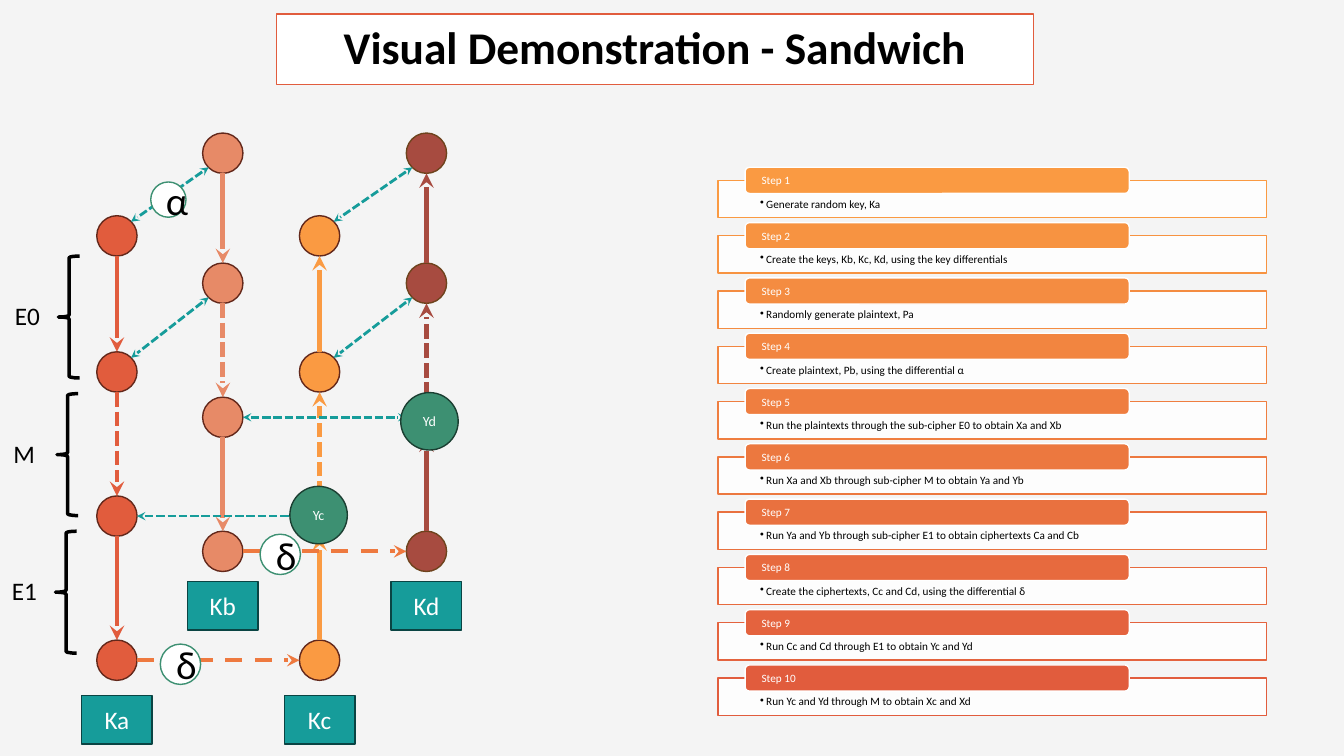
from lxml.etree import SubElement
from pptx import Presentation
from pptx.dml.color import RGBColor
from pptx.enum.dml import MSO_LINE
from pptx.enum.shapes import MSO_CONNECTOR, MSO_SHAPE
from pptx.enum.text import MSO_ANCHOR, PP_ALIGN
from pptx.oxml.ns import qn
from pptx.util import Inches, Pt

FONT = "Calibri"
PAPER = RGBColor(0xF4, 0xF4, 0xF4)
WHITE = RGBColor(0xFF, 0xFF, 0xFF)
BLACK = RGBColor(0, 0, 0)
RED = RGBColor(0xE1, 0x5C, 0x3D)
SALMON = RGBColor(0xE7, 0x8A, 0x67)
AMBER = RGBColor(0xFA, 0x9A, 0x42)
BROWN = RGBColor(0xA7, 0x4B, 0x40)
ORANGE = RGBColor(0xEE, 0x79, 0x3F)
TEAL = RGBColor(0x16, 0x9C, 0x9A)
DEEP = RGBColor(0x0A, 0x44, 0x43)
GREEN = RGBColor(0x3D, 0x90, 0x72)
FOREST = RGBColor(0x1B, 0x3F, 0x32)
RUST = RGBColor(0x63, 0x28, 0x1B)
UMBER = RGBColor(0x6E, 0x43, 0x1D)

NODE = 0.4          # node diameter
EDGE = NODE / 2
SLANT = 0.14        # reach of a node's edge at 45 degrees
FRONT = [2.34, 3.69, 5.12, 6.55]
BACK = [1.52, 2.81, 4.14, 5.47]
# key: column centre, rows, fill, outline, runs downward
KEYS = {
    "Ka": (1.16, FRONT, RED, RUST, True),
    "Kb": (2.21, BACK, SALMON, RUST, True),
    "Kc": (3.17, FRONT, AMBER, RUST, False),
    "Kd": (4.23, BACK, BROWN, UMBER, False),
}
STEPS = [
    "Generate random key, Ka",
    "Create the keys, Kb, Kc, Kd, using the key differentials",
    "Randomly generate plaintext, Pa",
    "Create plaintext, Pb, using the differential α",
    "Run the plaintexts through the sub-cipher E0 to obtain Xa and Xb",
    "Run Xa and Xb through sub-cipher M to obtain Ya and Yb",
    "Run Ya and Yb through sub-cipher E1 to obtain ciphertexts Ca and Cb",
    "Create the ciphertexts, Cc and Cd, using the differential δ",
    "Run Cc and Cd through E1 to obtain Yc and Yd",
    "Run Yc and Yd through M to obtain Xc and Xd",
]
STEP_TOP, STEP_GAP = 1.66, 0.5486


def write(para, text, size, color, bold=False):
    run = para.add_run()
    run.text = text
    run.font.name = FONT
    run.font.size = Pt(size)
    run.font.bold = bold
    run.font.color.rgb = color


def inset(frame, left, top, right, base):
    frame.margin_left, frame.margin_top = Inches(left), Inches(top)
    frame.margin_right, frame.margin_bottom = Inches(right), Inches(base)


def paint(shape, fill, line, width=1):
    if fill is None:
        shape.fill.background()
    else:
        shape.fill.solid()
        shape.fill.fore_color.rgb = fill
    shape.line.color.rgb = line
    shape.line.width = Pt(width)


def draw(slide, kind, box, fill, line, width=1):
    shape = slide.shapes.add_shape(kind, *map(Inches, box))
    shape.shadow.inherit = False
    paint(shape, fill, line, width)
    return shape


def label(shape, text, size, color=WHITE):
    frame = shape.text_frame
    frame.word_wrap = True
    frame.vertical_anchor = MSO_ANCHOR.MIDDLE
    para = frame.paragraphs[0]
    para.alignment = PP_ALIGN.CENTER
    write(para, text, size, color)


def disc(slide, x, y, size, fill, line):
    """Draw a circle about the centre x, y."""
    box = (x - size / 2, y - size / 2, size, size)
    return draw(slide, MSO_SHAPE.FLOWCHART_CONNECTOR, box, fill, line)


def arrow(slide, start, end, color, width, dash=None, both=False):
    line = slide.shapes.add_connector(
        MSO_CONNECTOR.STRAIGHT, *map(Inches, (*start, *end)))
    line.line.color.rgb = color
    line.line.width = Pt(width)
    if dash:
        line.line.dash_style = dash
    ln = line.line._get_or_add_ln()
    for tag in (["a:headEnd"] if both else []) + ["a:tailEnd"]:
        SubElement(ln, qn(tag)).set("type", "stealth")
    SubElement(line._element.spPr, qn("a:effectLst"))


def link(slide, start, end):
    arrow(slide, start, end, TEAL, 2, MSO_LINE.SQUARE_DOT, True)


def column(slide, x, rows, fill, line, down):
    """Draw one key's four states and the arrows between them."""
    for y in rows:
        disc(slide, x, y, NODE, fill, line)
    for i, (top, base) in enumerate(zip(rows, rows[1:])):
        ends = [(x, top + EDGE), (x, base - EDGE)]
        start, end = ends if down else ends[::-1]
        dash = MSO_LINE.SQUARE_DOT if i == 1 else None
        arrow(slide, start, end, fill, 3.5, dash)


def pairs(slide):
    """Join the front and back columns, then left and right."""
    for front, back in (("Ka", "Kb"), ("Kc", "Kd")):
        for low, high in list(zip(FRONT, BACK))[:2]:
            link(slide, (KEYS[back][0] - SLANT, high + SLANT),
                 (KEYS[front][0] + SLANT, low - SLANT))
    for left, right in (("Ka", "Kc"), ("Kb", "Kd")):
        x, rows = KEYS[left][:2]
        start, end = x + EDGE, KEYS[right][0] - EDGE
        link(slide, (start, rows[2]), (end, rows[2]))
        arrow(slide, (start, rows[3]), (end, rows[3]), ORANGE, 3, MSO_LINE.DASH)


def phase(slide, name, row):
    """Draw the brace and name of one sub-cipher."""
    x, y = 0.58 - 0.015 * row, 2.54 + 1.365 * row
    draw(slide, MSO_SHAPE.LEFT_BRACE, (x, y, 0.21, 1.21), None, BLACK, 2.5)
    box = slide.shapes.add_textbox(*map(Inches, (x - 0.53, y + 0.39, 0.54, 0.4)))
    box.text_frame.word_wrap = True
    write(box.text_frame.paragraphs[0], name, 18, BLACK)


def step(slide, i, text):
    part = i / (len(STEPS) - 1)
    tint = RGBColor(*(round(a + (b - a) * part) for a, b in zip(AMBER, RED)))
    y = STEP_TOP + STEP_GAP * i

    panel = draw(slide, MSO_SHAPE.RECTANGLE, (7.12, y + 0.13, 5.44, 0.37), WHITE, tint)
    color = panel._element.spPr.find(qn("a:solidFill"))[0]
    SubElement(color, qn("a:alpha")).set("val", "90000")
    frame = panel.text_frame
    frame.word_wrap = True
    frame.vertical_anchor = MSO_ANCHOR.TOP
    inset(frame, 0.42, 0.18, 0.42, 0.06)
    para = frame.paragraphs[0]
    props = para._p.get_or_add_pPr()
    props.set("marL", str(Inches(0.06)))
    props.set("indent", str(-Inches(0.06)))
    SubElement(props, qn("a:buChar")).set("char", "•")
    para.level = 1
    para.alignment = PP_ALIGN.LEFT
    para.line_spacing = 0.9
    write(para, text, 8, BLACK)

    tab = draw(slide, MSO_SHAPE.ROUNDED_RECTANGLE, (7.39, y, 3.81, 0.26), tint, WHITE)
    inset(tab.text_frame, 0.15, 0, 0.15, 0)
    label(tab, f"Step {i + 1}", 8)
    tab.text_frame.paragraphs[0].alignment = PP_ALIGN.LEFT


def head(slide, text):
    title = slide.shapes.title
    title.left, title.top, title.width, title.height = map(
        Inches, (2.74, 0.14, 7.51, 0.7))
    paint(title, WHITE, RED)
    title.text_frame.vertical_anchor = MSO_ANCHOR.MIDDLE
    para = title.text_frame.paragraphs[0]
    para.alignment = PP_ALIGN.CENTER
    para.line_spacing = 0.9
    write(para, text, 32.4, BLACK, True)


def main():
    deck = Presentation()
    deck.slide_width, deck.slide_height = Inches(13.33), Inches(7.5)
    slide = deck.slides.add_slide(deck.slide_layouts[5])
    slide.background.fill.solid()
    slide.background.fill.fore_color.rgb = PAPER
    head(slide, "Visual Demonstration - Sandwich")
    for i, text in enumerate(STEPS):
        step(slide, i, text)
    for key in KEYS.values():
        column(slide, *key)
    pairs(slide)
    for name, (x, rows, *_) in KEYS.items():
        box = (x - 0.35, rows[3] + (0.35 if rows is FRONT else 0.3), 0.7, 0.48)
        label(draw(slide, MSO_SHAPE.RECTANGLE, box, TEAL, DEEP), name, 18)
    for name, x, y in (("Yc", 3.16, 5.11), ("Yd", 4.26, 4.18)):
        label(disc(slide, x, y, 0.57, GREEN, FOREST), name, 10)
    for sign, x, y, size in (("α", 1.67, 1.98, 0.35), ("δ", 1.79, 6.59, NODE),
                             ("δ", 2.78, 5.5, NODE)):
        label(disc(slide, x, y, size, WHITE, GREEN), sign, 28, BLACK)
    for row, name in enumerate(("E0", "M", "E1")):
        phase(slide, name, row)
    deck.save("out.pptx")


if __name__ == "__main__":
    main()
